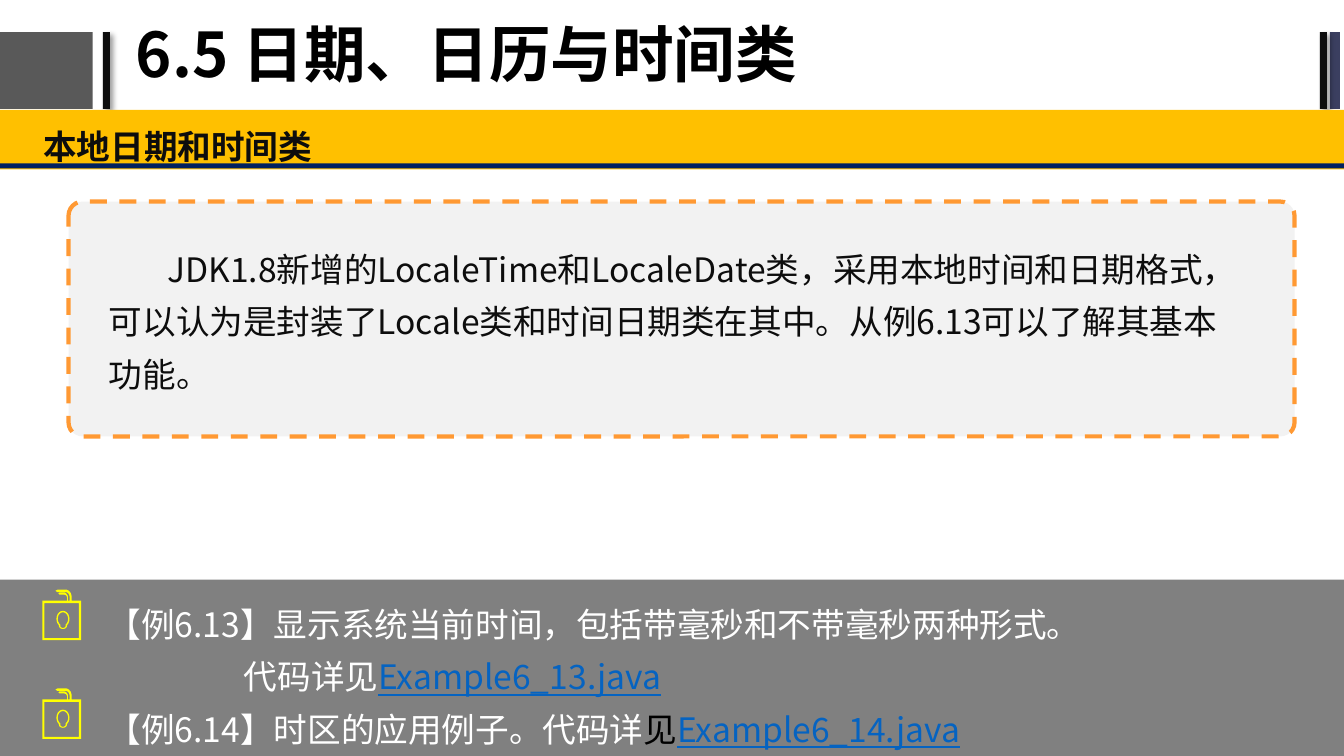
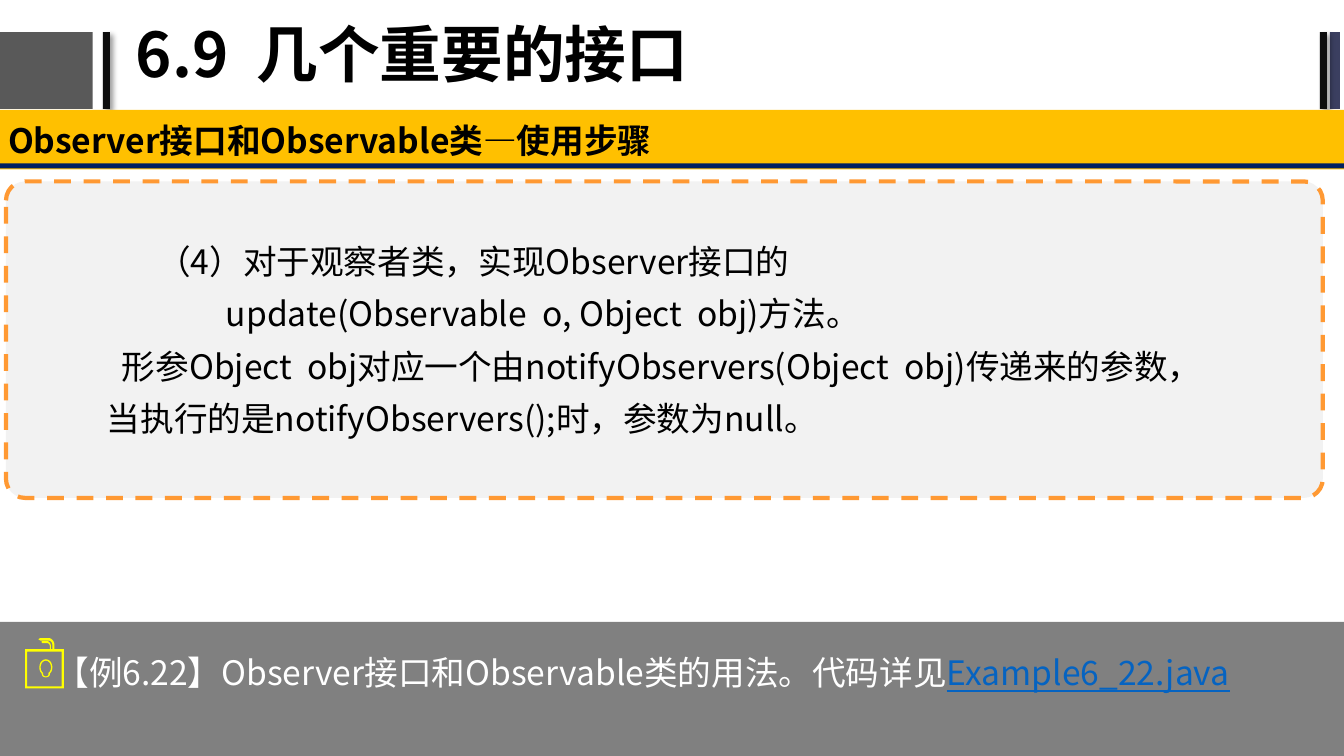
import math
from typing import NamedTuple

from lxml import etree
from pptx import Presentation
from pptx import util as u
from pptx.dml.color import RGBColor
from pptx.enum import dml, shapes, text
from pptx.oxml import ns

PX = 9144  # EMU in one px, 100 px to the inch
FONT = "Noto Sans CJK SC"
WIDTH, HEIGHT = 1333, 750
COLORS = {
    "block": "595959", "bar": "0D0D0D", "edge": "3B3F60", "band": "FFC000",
    "rule": "002060", "panel": "F2F2F2", "dash": "FF9933", "footer": "808080",
    "icon": "FFFF00", "black": "000000", "ink": "0D0D0D", "white": "FFFFFF",
    "link": "0563C1",
}


class Box(NamedTuple):
    left: int
    top: int
    width: int
    height: int

    def emu(self) -> list[u.Emu]:
        return [u.Emu(v * PX) for v in self]


class Run(NamedTuple):
    text: str
    color: str = "black"
    underline: bool = False


class Para(NamedTuple):
    runs: list[Run]
    indent: int = 0


class Block(NamedTuple):
    """One text box: its place, paragraphs and paragraph format."""
    box: Box
    paras: list[Para]
    line: float = 1.3
    before: int = 0
    inset: tuple[int, int] = (13, 7)
    middle: bool = False


class Page(NamedTuple):
    title: str
    heading: Block
    panel: Box
    body: Block
    footer_top: int
    examples: Block
    icons: list[tuple[int, int]]


def rgb(name: str) -> RGBColor:
    return RGBColor.from_string(COLORS[name])


def paint(sp, fill: str) -> None:
    sp.shadow.inherit = False
    sp.fill.solid()
    sp.fill.fore_color.rgb = rgb(fill)
    sp.line.fill.background()


def add_rect(s, box: Box, fill: str):
    sp = s.shapes.add_shape(shapes.MSO_SHAPE.RECTANGLE, *box.emu())
    paint(sp, fill)
    return sp


def add_shadow(sp) -> None:
    effects = sp._element.spPr.find(ns.qn("a:effectLst"))
    shadow = etree.SubElement(
        effects, ns.qn("a:outerShdw"), blurRad=str(u.Pt(4)), dist=str(u.Pt(3)),
        dir="2700000", algn="tl", rotWithShape="0")
    color = etree.SubElement(shadow, ns.qn("a:srgbClr"), val=COLORS["black"])
    etree.SubElement(color, ns.qn("a:alpha"), val="40000")


def add_run(p, run: Run, *, size: int, bold: bool) -> None:
    r = p.add_run()
    r.text = run.text
    r.font.size = u.Pt(size)
    r.font.bold = bold
    r.font.underline = run.underline
    r.font.color.rgb = rgb(run.color)
    r.font.name = FONT
    etree.SubElement(r.font._element, ns.qn("a:ea"), typeface=FONT)


def add_text(s, block: Block, *, size: int = 24, bold: bool = False) -> None:
    tf = s.shapes.add_textbox(*block.box.emu()).text_frame
    tf.word_wrap = True
    anchor = text.MSO_ANCHOR
    tf.vertical_anchor = anchor.MIDDLE if block.middle else anchor.TOP
    tf.margin_left = tf.margin_right = block.inset[0] * PX
    tf.margin_top = tf.margin_bottom = block.inset[1] * PX
    for i, para in enumerate(block.paras):
        p = tf.add_paragraph() if i else tf.paragraphs[0]
        p.line_spacing = block.line
        p.space_before = u.Pt(block.before)
        if para.indent:
            p._p.get_or_add_pPr().set("indent", str(para.indent * PX))
        for run in para.runs:
            add_run(p, run, size=size, bold=bold)


def arc(cx: int, cy: int, rx: int, ry: int, start: int, end: int) -> list:
    """Points on an ellipse between two angles, clockwise when end > start."""
    steps = 16
    angles = [math.radians(start + (end - start) * i / steps)
              for i in range(steps + 1)]
    return [(cx + rx * math.cos(a), cy + ry * math.sin(a)) for a in angles]


def add_outline(s, left: int, top: int, contours: list[list]) -> None:
    """Fill closed contours given in tenths of a px from left, top."""
    builder = None
    for points in contours:
        if builder is None:
            builder = s.shapes.build_freeform(*points[0], scale=PX / 10)
        else:
            builder.move_to(*points[0])
        builder.add_line_segments(points[1:], close=True)
    paint(builder.convert_to_shape(left * PX, top * PX), "icon")


def add_lock_icon(s, left: int, top: int) -> None:
    case = [
        (290, 110), *arc(230, 70, 60, 70, 0, -90), (150, 0), (130, 12),
        (150, 25), *arc(230, 70, 40, 45, -90, 0), (270, 110), (255, 110),
        *arc(215, 80, 40, 50, 0, -90), (170, 30), (160, 38), (170, 50),
        *arc(215, 80, 30, 30, -90, 0), (245, 110),
        (0, 110), (0, 500), (385, 500), (385, 110),
    ]
    window = [(20, 480), (20, 135), (362, 135), (362, 480)]
    bulb = arc(205, 290, 65, 80, 130, 410) + arc(205, 360, 40, 30, 0, 180)
    glass = arc(205, 290, 52, 66, 120, 420) + arc(205, 360, 26, 20, 0, 180)
    add_outline(s, left, top, [case, window])
    add_outline(s, left, top, [bulb, glass])


def add_frame(s, title: str) -> None:
    """Title row, yellow band and side bars common to every slide."""
    for left, width, fill, shadowed in [
        (-2, 94, "block", False), (102, 7, "bar", True),
        (1319, 10, "edge", False), (1309, 7, "bar", True),
    ]:
        sp = add_rect(s, Box(left, 32, width, 76), fill)
        if shadowed:
            add_shadow(sp)
    add_text(s, Block(Box(125, 2, 847, 110), [Para([Run(title)])], line=0.9,
                      inset=(10, 5), middle=True), size=44, bold=True)
    add_rect(s, Box(-5, 109, 1340, 59), "band")
    add_rect(s, Box(0, 162, WIDTH, 5), "rule")


def add_panel(s, box: Box) -> None:
    sp = s.shapes.add_shape(shapes.MSO_SHAPE.ROUNDED_RECTANGLE, *box.emu())
    paint(sp, "panel")
    sp.adjustments[0] = 0.06
    sp.line.color.rgb = rgb("dash")
    sp.line.width = u.Pt(3)
    sp.line.dash_style = dml.MSO_LINE.DASH


def add_page(prs, page: Page) -> None:
    s = prs.slides.add_slide(prs.slide_layouts[6])
    add_frame(s, page.title)
    add_text(s, page.heading, bold=True)
    add_panel(s, page.panel)
    add_text(s, page.body)
    add_rect(s, Box(0, page.footer_top, WIDTH, HEIGHT - page.footer_top),
             "footer")
    for left, top in page.icons:
        add_lock_icon(s, left, top)
    add_text(s, page.examples)


def link(name: str) -> Run:
    return Run(name, "link", True)


PAGES = [
    Page(
        title="6.5 日期、日历与时间类",
        heading=Block(Box(30, 110, 1306, 58),
                      [Para([Run("本地日期和时间类", "ink")])],
                      line=1.2, before=3),
        panel=Box(68, 200, 1216, 233),
        body=Block(Box(108, 238, 1100, 150), [Para([Run(
            "JDK1.8新增的LocaleTime和LocaleDate类，采用本地时间和日期格式，"
            "可以认为是封装了Locale类和时间日期类在其中。"
            "从例6.13可以了解其基本功能。", "ink")], 58)],
            inset=(0, 0), middle=True),
        footer_top=575,
        examples=Block(Box(97, 582, 1153, 160), [
            Para([Run("【例6.13】显示系统当前时间，包括带毫秒和不带毫秒两种形式。",
                      "white")]),
            Para([Run("代码详见", "white"), link("Example6_13.java")], 135),
            Para([Run("【例6.14】时区的应用例子。代码详", "white"), Run("见"),
                  link("Example6_14.java")]),
        ], inset=(10, 5)),
        icons=[(42, 585), (42, 683)],
    ),
    Page(
        title="6.9  几个重要的接口",
        heading=Block(Box(-5, 109, 1340, 59),
                      [Para([Run("Observer接口和Observable类—使用步骤")])],
                      line=1.0, middle=True),
        panel=Box(6, 180, 1306, 314),
        body=Block(Box(93, 220, 1133, 257), [
            Para([Run("（4）对于观察者类，实现Observer接口的")], 50),
            Para([Run("update(Observable  o, Object  obj)方法。")], 118),
            Para([Run("形参Object  obj对应一个由notifyObservers(Object  obj)"
                      "传递来的参数，当执行的是notifyObservers();时，"
                      "参数为null。")], 15),
        ]),
        footer_top=617,
        examples=Block(Box(42, 632, 1250, 102), [Para([
            Run("【例6.22】Observer接口和Observable类的用法。代码详见", "white"),
            link("Example6_22.java")])], line=1.2, before=3),
        icons=[(25, 633)],
    ),
]


def main() -> None:
    prs = Presentation()
    prs.slide_width, prs.slide_height = WIDTH * PX, HEIGHT * PX
    for page in PAGES:
        add_page(prs, page)
    prs.save("out.pptx")


if __name__ == "__main__":
    main()
